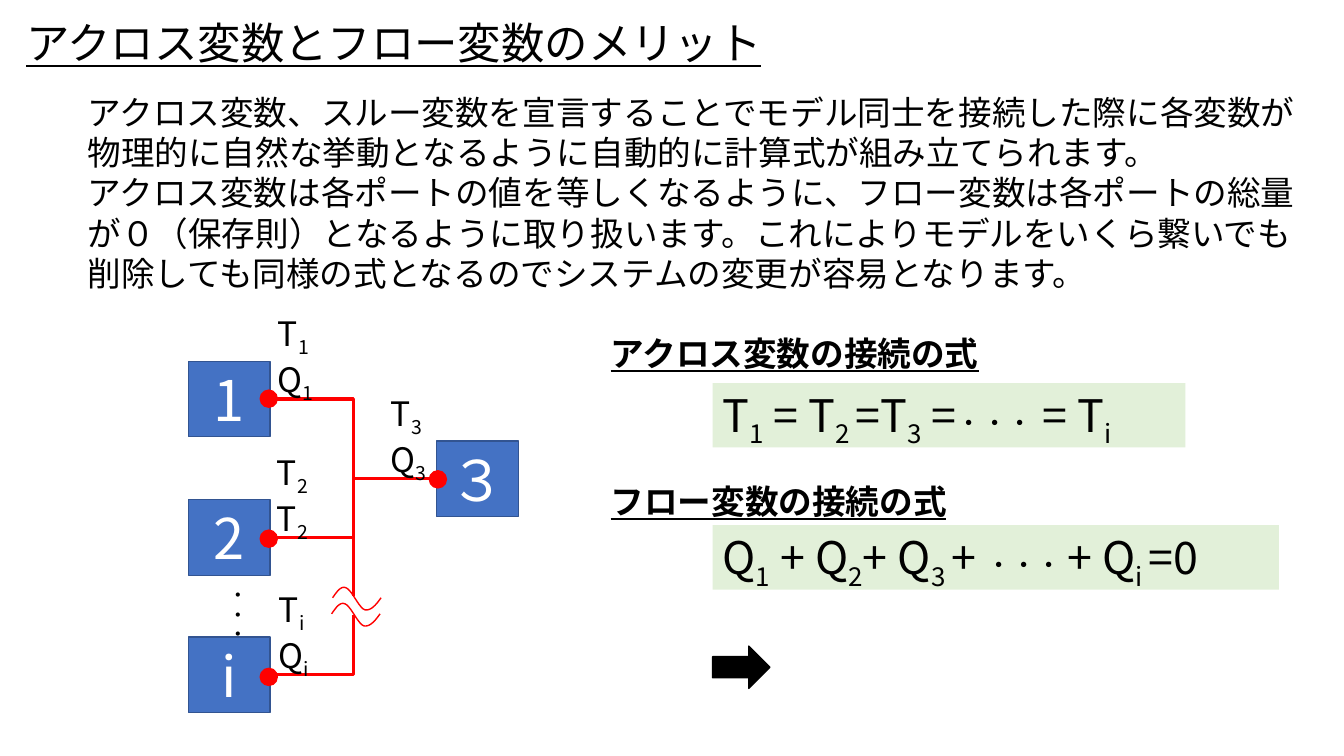
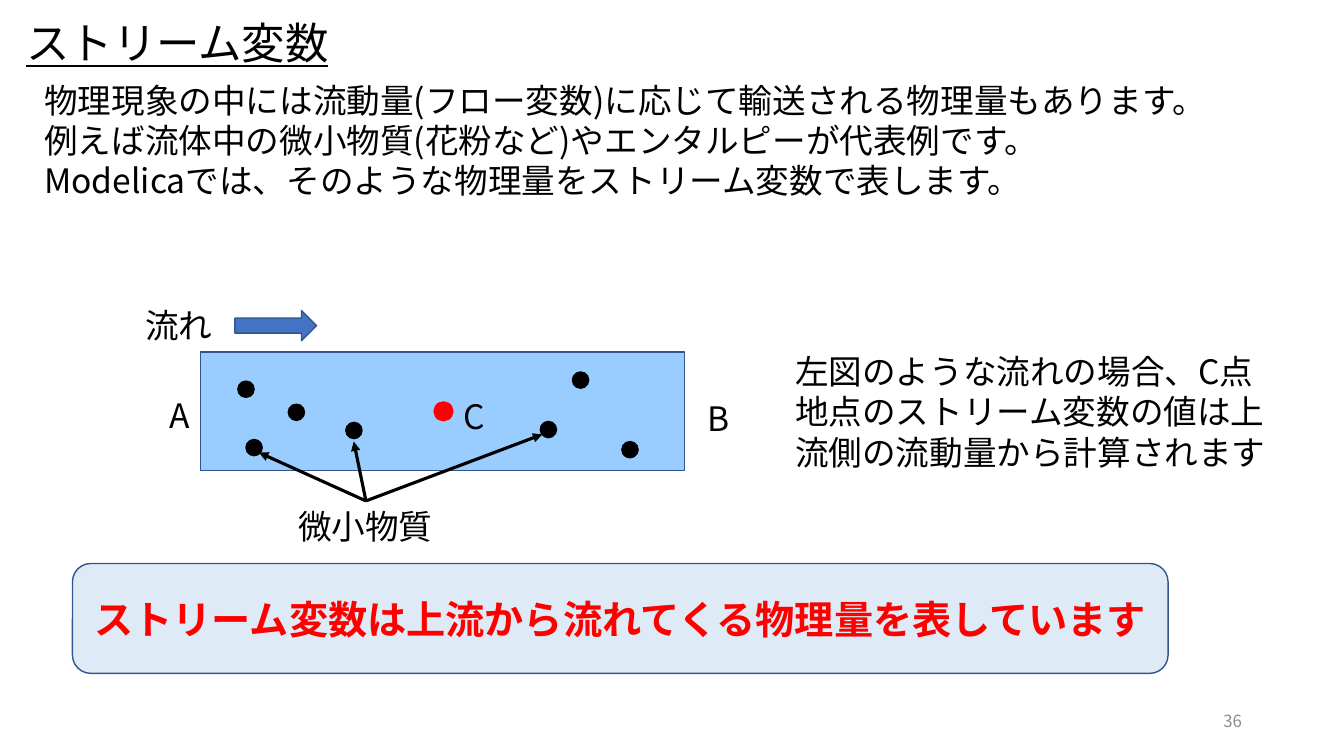
from dataclasses import dataclass
from pptx import Presentation
from pptx import util as u
from pptx.dml import color
from pptx.enum import lang, shapes, text
from pptx.oxml import ns
from lxml import etree

Pt = u.Pt
Kind = shapes.MSO_SHAPE
Link = shapes.MSO_CONNECTOR
Mid = text.MSO_ANCHOR.MIDDLE
Top = text.MSO_ANCHOR.TOP
Align = text.PP_ALIGN


@dataclass(frozen=True)
class Theme:
    font: str = "Noto Sans CJK JP"
    ink: str = "000000"
    paper: str = "FFFFFF"
    red: str = "FF0000"
    blue: str = "4472C4"
    edge: str = "325491"
    green: str = "E2F0D9"
    water: str = "99CCFF"
    pale: str = "DEEBF7"
    gray: str = "8C8C8C"
    title: int = 31
    body: int = 24
    math: int = 32
    dots: int = 18
    tiny: int = 14
    node: int = 40
    note: int = 28
    page: int = 12


T = Theme()


def rgb(code):
    return color.RGBColor.from_string(code)


def sub(node, tag, **attrs):
    return etree.SubElement(node, ns.qn(tag), **attrs)


def split(line, size):
    for i, part in enumerate(line.split("|")):
        for j, piece in enumerate(part.split("_")):
            if piece:
                yield piece, T.dots if i % 2 else size, j % 2


def write(frame, words, size=T.body, ink=T.ink, bold=False, under=False,
          align=Align.LEFT, anchor=Top, wrap=False, inset=None, grow=True):
    frame.word_wrap = wrap
    frame.vertical_anchor = anchor
    if grow:
        frame.auto_size = text.MSO_AUTO_SIZE.SHAPE_TO_FIT_TEXT
    if inset is not None:
        frame.margin_left = frame.margin_right = Pt(inset)
        frame.margin_top = frame.margin_bottom = Pt(inset)
    for n, line in enumerate(words.split("\n")):
        para = frame.add_paragraph() if n else frame.paragraphs[0]
        para.alignment = align
        for piece, high, low in split(line, size):
            run = para.add_run()
            run.text = piece
            font = run.font
            font.name, font.size = T.font, Pt(high)
            font.bold, font.underline = bold, under
            font.color.rgb = rgb(ink)
            font.language_id = lang.MSO_LANGUAGE_ID.JAPANESE
            props = run._r.get_or_add_rPr()
            sub(props, "a:ea", typeface=T.font)
            if low:
                props.set("baseline", "-25000")


class Deck:
    def __init__(self):
        self.prs = Presentation()
        self.prs.slide_width, self.prs.slide_height = Pt(960), Pt(540)

    def page(self, title, width):
        self.items = self.prs.slides.add_slide(self.prs.slide_layouts[6]).shapes
        self.label(title, 14.4, 7.2, width, 45.4, size=T.title, under=True,
                   anchor=Mid, inset=4.5)

    def label(self, words, x, y, w, h, vert=None, **fmt):
        box = self.items.add_textbox(Pt(x), Pt(y), Pt(w), Pt(h))
        write(box.text_frame, words, **fmt)
        if vert:
            box._element.xpath(".//a:bodyPr")[0].set("vert", vert)

    def paint(self, item, fill=None, line=None, thick=1):
        item.shadow.inherit = False
        if fill:
            item.fill.solid()
            item.fill.fore_color.rgb = rgb(fill)
        else:
            item.fill.background()
        if line:
            item.line.color.rgb = rgb(line)
            item.line.width = Pt(thick)
        else:
            item.line.fill.background()

    def shape(self, kind, x, y, w, h, fill, line=None, thick=1, words="", **fmt):
        item = self.items.add_shape(kind, Pt(x), Pt(y), Pt(w), Pt(h))
        self.paint(item, fill, line, thick)
        if words:
            write(item.text_frame, words, **fmt)

    def dot(self, x, y, size, fill, line=None):
        self.shape(Kind.OVAL, x - size / 2, y - size / 2, size, size, fill, line)

    def link(self, kind, start, end, ink, head=False):
        item = self.items.add_connector(kind, *map(Pt, start + end))
        item.line.color.rgb = rgb(ink)
        item.line.width = Pt(2.25)
        if head:
            sub(item.line._get_or_add_ln(), "a:tailEnd", type="triangle")
        sub(item._element.spPr, "a:effectLst")

    def wave(self, x, y):
        knots = [(0, 7.2), (3, 2.9), (5.8, -1.4), (9.4, 0), (13.7, 1.4),
                 (18.7, 14.4), (23, 15.8), (27.4, 16.6), (31, 12.2), (34.6, 7.2)]
        steps = 10
        spots = []
        for k in range(0, 9, 3):
            for n in range(1, steps + 1):
                t = n / steps
                mix = ((1 - t) ** 3, 3 * t * (1 - t) ** 2, 3 * t * t * (1 - t), t ** 3)
                dx, dy = (sum(m * p[a] for m, p in zip(mix, knots[k:k + 4]))
                          for a in (0, 1))
                spots.append((Pt(x + dx), Pt(y + dy)))
        path = self.items.build_freeform(Pt(x), Pt(y + 7.2))
        path.add_line_segments(spots, close=False)
        self.paint(path.convert_to_shape(), line=T.red)


def merits(deck):
    deck.page("アクロス変数とフロー変数のメリット", 540)
    maths = [
        ("アクロス変数の接続の式", 234, 280.8, 273.6, 337.7,
         "T_1_ = T_2 _=T_3_ =|・・・| = T_i_"),
        ("フロー変数の接続の式", 339.8, 257, 375.1, 404.6,
         "Q_1_ + Q_2_+ Q_3 _+ |・・・|_ _+ Q_i _=0"),
    ]
    for head, y, w, top, wide, sums in maths:
        deck.shape(Kind.RECTANGLE, 509, top, wide, 46, T.green,
                   words=sums, size=T.math)
        deck.label(head, 429.1, y, w, 36, bold=True, under=True)
    deck.label(
        "アクロス変数、スルー変数を宣言することでモデル同士を接続した際に各変数が"
        "物理的に自然な挙動となるように自動的に計算式が組み立てられます。\n"
        "アクロス変数は各ポートの値を等しくなるように、フロー変数は各ポートの総量が"
        "０（保存則）となるように取り扱います。これによりモデルをいくら繋いでも"
        "削除しても同様の式となるのでシステムの変更が容易となります。",
        55.4, 61.9, 896.4, 152.6, wrap=True)

    wide, high = 58.4, 54
    left, hub = 134.6, (311.8, 342)
    nodes = [
        ("1", left, 285, 192, 284.8, "T_1_\nQ_1_", 191.5, 41),
        ("2", left, 384, 192, 384.8, "T_2_\nT_2_", 190.8, 38.9),
        ("i", left, 482, 192, 483.5, "T_i_\nQ_i_", 192.2, 36.7),
        ("３", hub[0], hub[1], 312.8, 342.4, "T_3_\nQ_3_", 272.2, 41),
    ]
    for name, x, y, *_ in nodes:
        deck.shape(Kind.RECTANGLE, x, y - high / 2, wide, high, T.blue, T.edge,
                   words=name, size=T.node, ink=T.paper, align=Align.CENTER,
                   anchor=Mid, wrap=True, grow=False)
    for _, x, y, *_ in nodes[:3]:
        deck.link(Link.ELBOW, (x + wide, y), hub, T.red)
    deck.label("・・・", 154.1, 411.1, 27.4, 43.2, vert="eaVert", size=T.tiny)
    deck.shape(Kind.RECTANGLE, 246.2, 428.4, 14.4, 8, T.paper, T.paper, 6)
    deck.wave(237.6, 419.8)
    deck.wave(236.9, 431.3)
    for _, _, y, port, spot, pair, x, w in nodes:
        deck.label(pair, x, y - 65, w, 65.5)
        deck.dot(port, spot, 12.2, T.red, T.red)
    deck.shape(Kind.RIGHT_ARROW, 509, 461.5, 41, 30.2, T.ink, T.ink)


def stream(deck):
    deck.page("ストリーム変数", 227.5)
    deck.label("36", 678.2, 500.4, 216, 28.8, size=T.page, ink=T.gray,
               align=Align.RIGHT, anchor=Mid, wrap=True, grow=False)
    deck.label(
        "物理現象の中には流動量(フロー変数)に応じて輸送される物理量もあります。\n"
        "例えば流体中の微小物質(花粉など)やエンタルピーが代表例です。\n"
        "Modelicaでは、そのような物理量をストリーム変数で表します。",
        24.5, 53.3, 857.5, 94.3)
    deck.label("左図のような流れの場合、C点地点のストリーム変数の値は"
               "上流側の流動量から計算されます",
               560.9, 247, 357.1, 94.3, wrap=True)

    deck.shape(Kind.RECTANGLE, 143.3, 251.3, 345.6, 85, T.water, T.edge)
    deck.dot(316.8, 293.8, 14.4, T.red)
    deck.shape(Kind.RIGHT_ARROW, 167.8, 221.8, 58.3, 21.6, T.blue, T.edge)
    for words, x, y, w, h in [
        ("A", 113.8, 278.6, 21.6, 25.2),
        ("B", 498.2, 280.8, 21.6, 25.2),
        ("C", 324, 279.4, 23.8, 28),
        ("流れ", 96.5, 214.6, 63.4, 36),
        ("微小物質", 205.9, 357.8, 111.6, 36),
    ]:
        deck.label(words, x, y, w, h)
    deck.shape(Kind.ROUNDED_RECTANGLE, 51.8, 402.5, 782.6, 78.5, T.pale, T.edge,
               words="ストリーム変数は上流から流れてくる物理量を表しています",
               size=T.note, ink=T.red, bold=True, align=Align.CENTER,
               anchor=Mid, wrap=True, grow=False)
    for x, y in [(175.7, 278), (211.7, 294.5), (181.5, 319.7), (252.8, 307.5),
                 (391.7, 306.8), (414.7, 271.5), (450, 321.2)]:
        deck.dot(x, y, 11.6, T.ink, T.ink)
    for tip in [(185, 323.3), (252.7, 315.4), (387.4, 310.3)]:
        deck.link(Link.STRAIGHT, (261.4, 357.8), tip, T.ink, head=True)


def main():
    deck = Deck()
    merits(deck)
    stream(deck)
    deck.prs.save("out.pptx")


if __name__ == "__main__":
    main()
